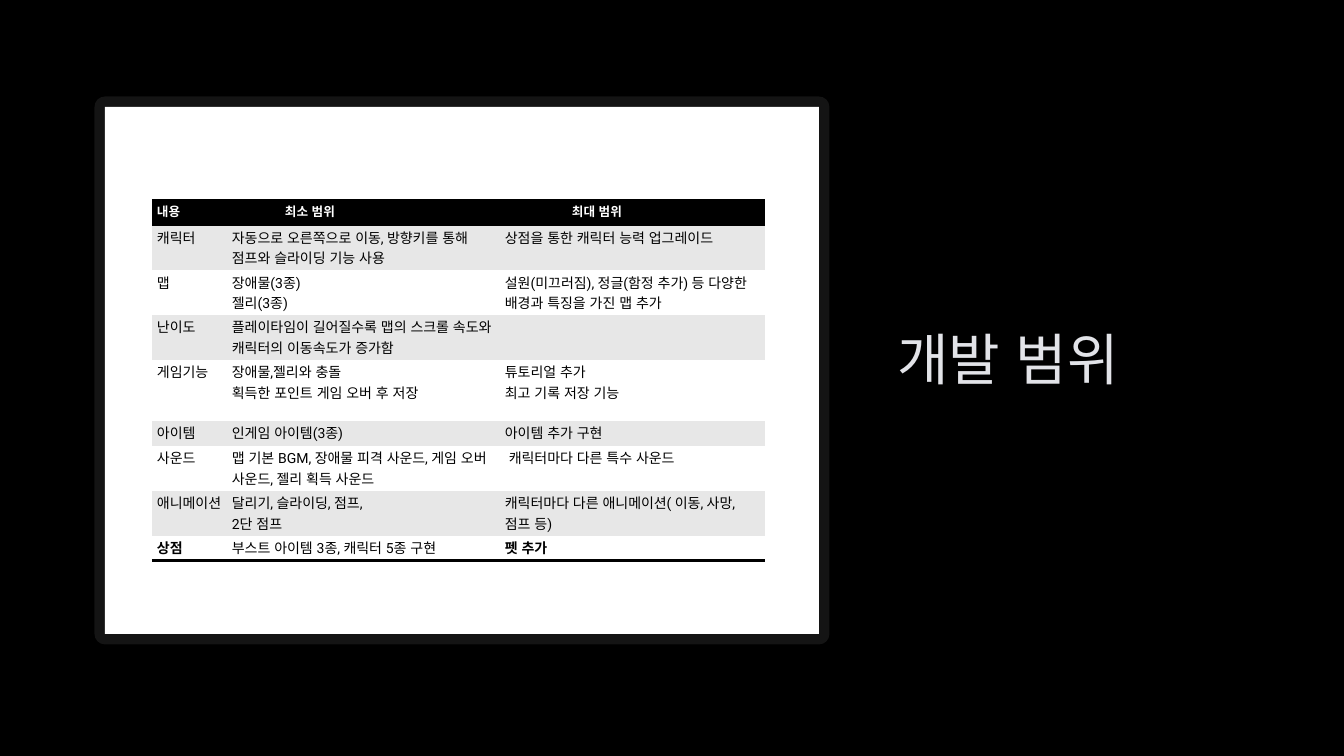
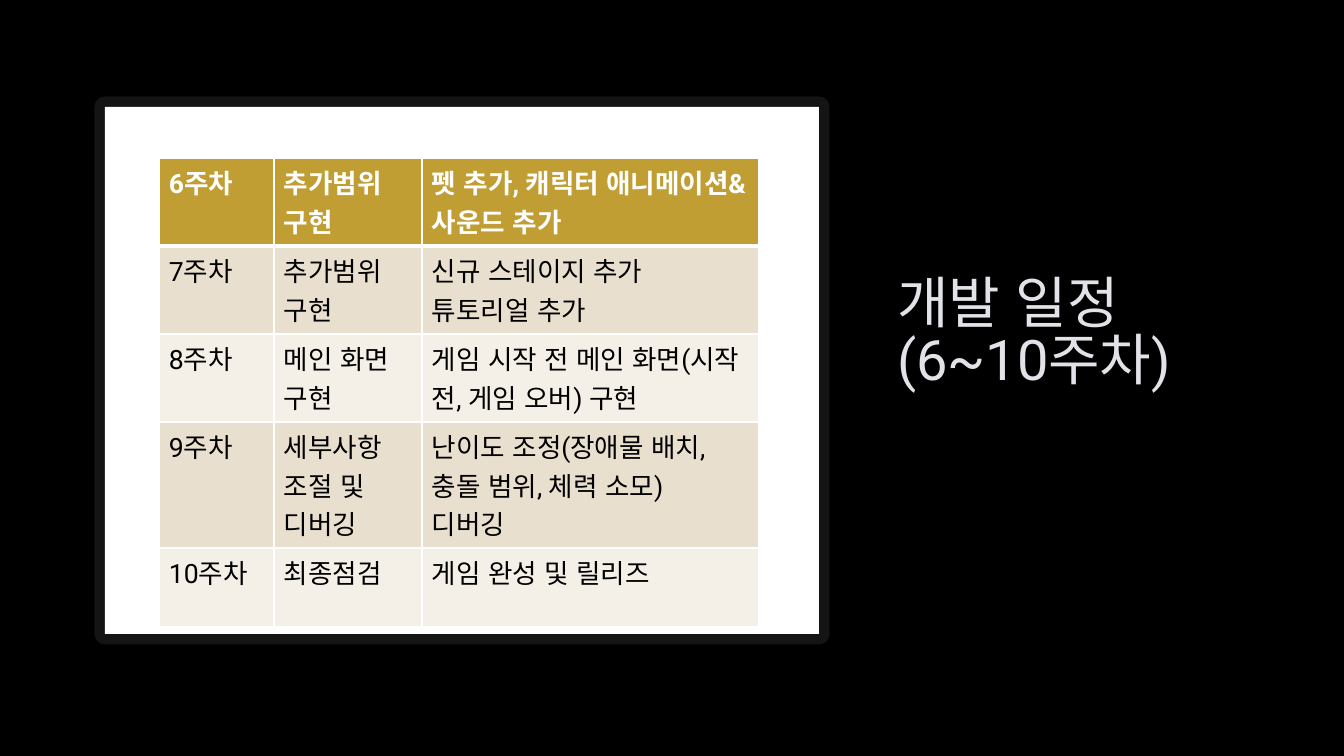
from dataclasses import dataclass

import lxml.etree
import pptx
import pptx.dml.color
import pptx.enum.lang
import pptx.enum.shapes
import pptx.enum.text
import pptx.oxml.ns
import pptx.util

SLIDE_W, SLIDE_H = 1344, 756
EMU_PER_PX = 12192000 / SLIDE_W
PANEL_BOX = (105, 107, 714, 527)
TITLE_BOX = (887, 107, 345, 290)
PLAIN_TABLE = "{2D5ABB26-0587-4C30-8999-92F81FD0307C}"


@dataclass(frozen=True)
class Theme:
    """Colours and type sizes of the deck."""
    font: str = "Roboto"
    black: str = "000000"
    white: str = "FFFFFF"
    title: str = "E2E3E8"
    gray: str = "E7E7E7"
    gold: str = "C19E34"
    sand: str = "E9DFCE"
    cream: str = "F4F0E8"
    title_size: int = 40
    scope_head_size: int = 9
    scope_size: int = 10
    plan_size: int = 19


THEME = Theme()

SCOPE = [
    ("내용", "최소 범위", "최대 범위"),
    ("캐릭터", "자동으로 오른쪽으로 이동, 방향키를 통해 점프와 슬라이딩 기능 사용",
     "상점을 통한 캐릭터 능력 업그레이드"),
    ("맵", "장애물(3종)\n젤리(3종)",
     "설원(미끄러짐), 정글(함정 추가) 등 다양한 배경과 특징을 가진 맵 추가"),
    ("난이도", "플레이타임이 길어질수록 맵의 스크롤 속도와 캐릭터의 이동속도가 증가함", ""),
    ("게임기능", "장애물,젤리와 충돌\n획득한 포인트 게임 오버 후 저장",
     "튜토리얼 추가\n최고 기록 저장 기능"),
    ("아이템", "인게임 아이템(3종)", "아이템 추가 구현"),
    ("사운드", "맵 기본 BGM, 장애물 피격 사운드, 게임 오버 사운드, 젤리 획득 사운드",
     " 캐릭터마다 다른 특수 사운드"),
    ("애니메이션", "달리기, 슬라이딩, 점프,\n2단 점프",
     "캐릭터마다 다른 애니메이션( 이동, 사망, 점프 등)"),
    ("상점", "부스트 아이템 3종, 캐릭터 5종 구현", "펫 추가"),
]

PLAN = [
    ("6주차", "추가범위 구현", "펫 추가, 캐릭터 애니메이션&사운드 추가"),
    ("7주차", "추가범위 구현", "신규 스테이지 추가\n튜토리얼 추가"),
    ("8주차", "메인 화면 구현", "게임 시작 전 메인 화면(시작 전, 게임 오버) 구현"),
    ("9주차", "세부사항 조절 및\n디버깅",
     "난이도 조정(장애물 배치, 충돌 범위, 체력 소모)\n디버깅"),
    ("10주차", "최종점검", "게임 완성 및 릴리즈"),
]


def px(n):
    """Turn pixels into EMU."""
    return pptx.util.Emu(round(n * EMU_PER_PX))


def rgb(color):
    """Turn a hex string into a colour."""
    return pptx.dml.color.RGBColor.from_string(color)


def add_xml(parent, tag, **attrs):
    """Append a DrawingML element to its parent."""
    return lxml.etree.SubElement(parent, pptx.oxml.ns.qn(tag), attrs)


def format_text(tf, size, color, bold=False):
    """Give every run of a text frame one font."""
    for p in tf.paragraphs:
        for r in p.runs:
            r.font.name = THEME.font
            r.font.size = pptx.util.Pt(size)
            r.font.bold = bold
            r.font.color.rgb = rgb(color)
            r.font.language_id = pptx.enum.lang.MSO_LANGUAGE_ID.KOREAN


def add_title(slide, box, text):
    """Place the title, resting on the bottom of its box."""
    sp = slide.shapes.title
    sp.left, sp.top, sp.width, sp.height = map(px, box)
    tf = sp.text_frame
    tf.text = text
    tf.word_wrap = True
    tf.auto_size = pptx.enum.text.MSO_AUTO_SIZE.NONE
    tf.vertical_anchor = pptx.enum.text.MSO_ANCHOR.BOTTOM
    p = tf.paragraphs[0]
    p.alignment = pptx.enum.text.PP_ALIGN.LEFT
    p.line_spacing = 0.85
    format_text(tf, THEME.title_size, THEME.title)


def add_panel(slide, box):
    """Draw the white panel with its faint wide frame."""
    sp = slide.shapes.add_shape(
        pptx.enum.shapes.MSO_SHAPE.RECTANGLE, *map(px, box))
    sp.shadow.inherit = False
    sp.fill.solid()
    sp.fill.fore_color.rgb = rgb(THEME.white)
    sp.line.width = pptx.util.Pt(15)
    sp.line.color.rgb = rgb(THEME.white)
    ln = sp.line._get_or_add_ln()
    add_xml(ln.find(".//" + pptx.oxml.ns.qn("a:srgbClr")), "a:alpha", val="7000")
    add_xml(ln, "a:round")


def set_borders(cell, color, widths):
    """Draw the cell's borders, widths in points keyed by L, R, T and B."""
    tc_pr = cell._tc.get_or_add_tcPr()
    for side in "LRTB":
        if side in widths:
            ln = add_xml(tc_pr, "a:ln" + side, w=str(pptx.util.Pt(widths[side])))
            add_xml(add_xml(ln, "a:solidFill"), "a:srgbClr", val=color)


def add_table(slide, box, offset, rows, widths, heights):
    """Add an unstyled table of the given sizes at an offset in its box."""
    left, top = box[0] + offset[0], box[1] + offset[1]
    frame = slide.shapes.add_table(
        len(rows), len(widths), px(left), px(top), px(sum(widths)), px(sum(heights)))
    table = frame.table
    table.horz_banding = False
    table._tbl.tblPr.find(pptx.oxml.ns.qn("a:tableStyleId")).text = PLAIN_TABLE
    for column, width in zip(table.columns, widths):
        column.width = px(width)
    for row, height in zip(table.rows, heights):
        row.height = px(height)
    return table


def fill_cell(cell, text, size, color, fill, bold, margins):
    """Write one cell and set its fill and its margins."""
    cell.margin_left, cell.margin_right = px(margins[0]), px(margins[0])
    cell.margin_top, cell.margin_bottom = px(margins[1]), px(margins[1])
    cell.fill.solid()
    cell.fill.fore_color.rgb = rgb(fill)
    cell.text_frame.text = text
    format_text(cell.text_frame, size, color, bold)


def scope_table(slide, box):
    """Build the table of minimum and maximum scope."""
    heights = [25, 45, 45, 45, 61, 25, 45, 45, 25]
    table = add_table(slide, box, (47, 93), SCOPE, [75, 273, 265], heights)
    last = len(SCOPE) - 1
    for i, row in enumerate(SCOPE):
        head = i == 0
        size = THEME.scope_head_size if head else THEME.scope_size
        color = THEME.white if head else THEME.black
        fill = THEME.black if head else (THEME.white, THEME.gray)[i % 2]
        for j, text in enumerate(row):
            cell = table.cell(i, j)
            if head:
                set_borders(cell, THEME.black, {"T": 2, "B": 2})
            elif i == last:
                set_borders(cell, THEME.black, {"B": 2})
            bold = head or (i == last and j != 1)
            fill_cell(cell, text, size, color, fill, bold, (5, 2))
    for j, indent in ((1, 53), (2, 67)):
        table.cell(0, j).margin_left = px(5 + indent)


def plan_table(slide, box):
    """Build the table of weekly work."""
    heights = [88, 88, 88, 126, 79]
    table = add_table(slide, box, (54, 51), PLAN, [115, 148, 337], heights)
    for i, row in enumerate(PLAN):
        head = i == 0
        color = THEME.white if head else THEME.black
        fill = THEME.gold if head else (THEME.cream, THEME.sand)[i % 2]
        borders = {"L": 1, "R": 1, "T": 3 if i == 1 else 1, "B": 3 if head else 1}
        for j, text in enumerate(row):
            cell = table.cell(i, j)
            set_borders(cell, THEME.white, borders)
            fill_cell(cell, text, THEME.plan_size, color, fill, head, (10, 5))


def add_slide(prs, title, build_table):
    """Add a slide with a table panel and a title beside it."""
    slide = prs.slides.add_slide(prs.slide_layouts[5])
    add_title(slide, TITLE_BOX, title)
    add_panel(slide, PANEL_BOX)
    build_table(slide, PANEL_BOX)


def main():
    """Build the deck and save it."""
    prs = pptx.Presentation()
    prs.slide_width, prs.slide_height = px(SLIDE_W), px(SLIDE_H)
    fill = prs.slide_master.background.fill
    fill.solid()
    fill.fore_color.rgb = rgb(THEME.black)
    add_slide(prs, "개발 범위", scope_table)
    add_slide(prs, "개발 일정\v(6~10주차)", plan_table)
    prs.save("out.pptx")


if __name__ == "__main__":
    main()
